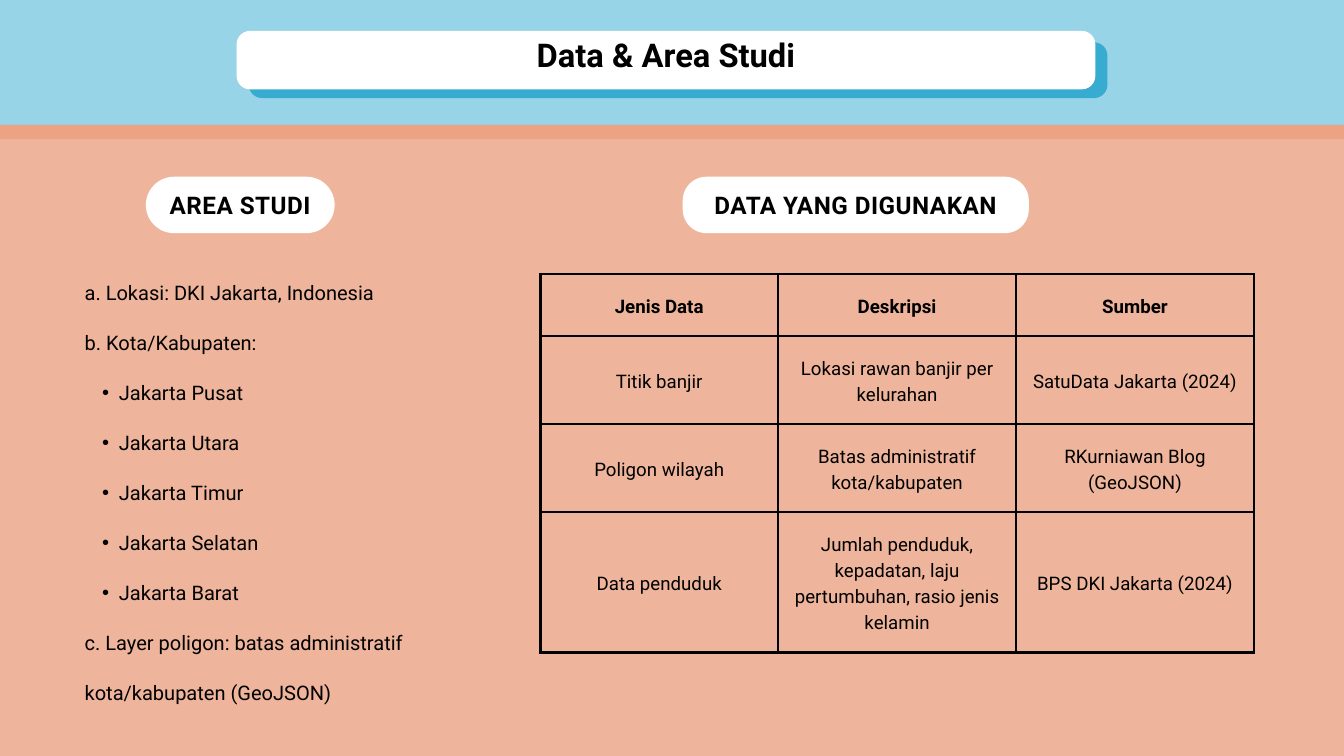
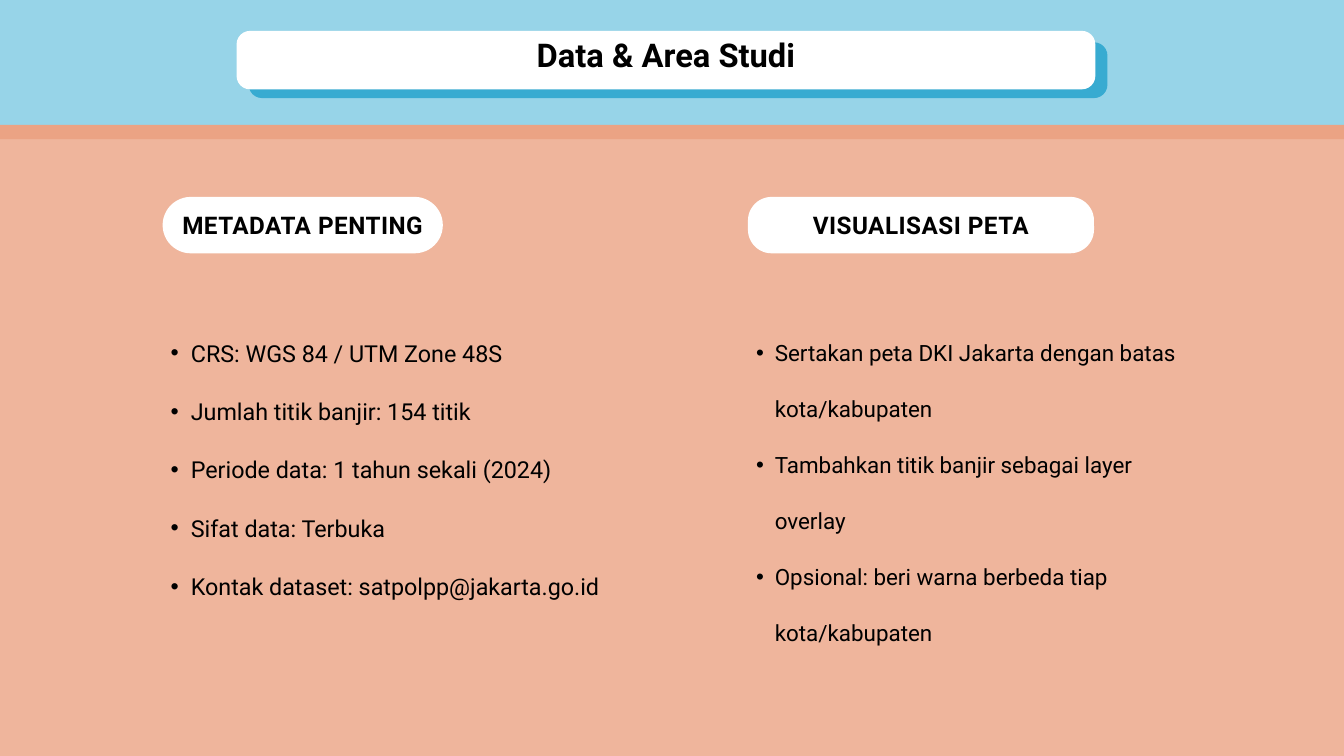
from lxml import etree
from pptx import Presentation
from pptx.dml.color import RGBColor
from pptx.enum.shapes import MSO_SHAPE
from pptx.enum.text import MSO_ANCHOR, PP_ALIGN
from pptx.oxml.ns import qn
from pptx.util import Emu, Pt

RECTANGLE = MSO_SHAPE.RECTANGLE
ROUNDED = MSO_SHAPE.ROUNDED_RECTANGLE
MIDDLE = MSO_ANCHOR.MIDDLE
CENTER = PP_ALIGN.CENTER
LEFT = PP_ALIGN.LEFT

FONT = "Roboto"
PEACH, ORANGE = "EFB59C", "EBA384"
SKY, BLUE = "97D4E8", "38ABD1"
WHITE, INK = "FFFFFF", "000000"
BULLET = "• "


def px(length):
    """100 px to the inch."""
    return Emu(length * 9144)


def color(hex_string):
    return RGBColor.from_string(hex_string)


def style_paragraph(paragraph, size, spacing, bold=False, align=LEFT, tracking=0):
    paragraph.alignment = align
    paragraph.line_spacing = Pt(spacing)
    font = paragraph.font
    font.name, font.size, font.bold = FONT, Pt(size), bold
    font.color.rgb = color(INK)
    if tracking:
        paragraph._p.get_or_add_pPr().get_or_add_defRPr().set("spc", str(tracking))


def add_bullet(paragraph, indent, hanging):
    paragraph.level = 1
    properties = paragraph._p.get_or_add_pPr()
    properties.set("marL", str(px(indent)))
    properties.set("indent", str(-px(hanging)))
    etree.SubElement(properties, qn("a:buFont")).set("typeface", "Arial")
    etree.SubElement(properties, qn("a:buChar")).set("char", BULLET.strip())


def set_margins(frame, left, top, right, bottom):
    frame.margin_left, frame.margin_top = px(left), px(top)
    frame.margin_right, frame.margin_bottom = px(right), px(bottom)


def add_panel(slide, left, top, width, height, fill, radius=0):
    panel = slide.shapes.add_shape(ROUNDED if radius else RECTANGLE,
                                   px(left), px(top), px(width), px(height))
    if radius:
        panel.adjustments[0] = round(radius / height, 2)
    panel.shadow.inherit = False
    panel.fill.solid()
    panel.fill.fore_color.rgb = color(fill)
    panel.line.fill.background()
    return panel


def label(panel, text, size, spacing, top, bottom, tracking=0):
    frame = panel.text_frame
    frame.word_wrap = True
    frame.vertical_anchor = MIDDLE
    set_margins(frame, 6, top, 6, bottom)
    frame.text = text
    style_paragraph(frame.paragraphs[0], size, spacing, True, CENTER, tracking)


def add_heading(slide, text, left, top, width, radius):
    pill = add_panel(slide, left, top, width, 84, WHITE, radius)
    label(pill, text, 26, 28.6, top=4, bottom=0, tracking=50)


def add_list(slide, left, top, width, height, lines, size, spacing, indent, hanging):
    """Lines that start with the bullet mark become bulleted paragraphs."""
    frame = slide.shapes.add_textbox(px(left), px(top), px(width), px(height)).text_frame
    frame.word_wrap = True
    set_margins(frame, 0, 0, 0, 0)
    for number, line in enumerate(lines):
        paragraph = frame.add_paragraph() if number else frame.paragraphs[0]
        paragraph.text = line.removeprefix(BULLET)
        if line.startswith(BULLET):
            add_bullet(paragraph, indent, hanging)
        style_paragraph(paragraph, size, spacing)


def add_borders(cell, points):
    properties = cell._tc.get_or_add_tcPr()
    for position, side in enumerate(("a:lnL", "a:lnR", "a:lnT", "a:lnB")):
        border = etree.Element(qn(side), w=str(Pt(points)))
        fill = etree.SubElement(border, qn("a:solidFill"))
        etree.SubElement(fill, qn("a:srgbClr")).set("val", INK)
        properties.insert(position, border)


def add_data_table(slide, left, top, column_width, row_heights, rows):
    columns = len(rows[0])
    table = slide.shapes.add_table(len(rows), columns, px(left), px(top),
                                   px(column_width * columns), px(sum(row_heights))).table
    table.first_row = table.horz_banding = False
    for column in table.columns:
        column.width = px(column_width)
    for r, (height, texts) in enumerate(zip(row_heights, rows)):
        table.rows[r].height = px(height)
        for c, text in enumerate(texts):
            cell = table.cell(r, c)
            cell.text = text
            cell.vertical_anchor = MIDDLE
            set_margins(cell, 21, 21, 21, 21)
            cell.fill.background()
            add_borders(cell, 3)
            style_paragraph(cell.text_frame.paragraphs[0], 20, 28, r == 0, CENTER)


def add_base_slide(deck, title):
    """Background, top bands and title plate shared by the slides."""
    slide = deck.slides.add_slide(deck.slide_layouts[6])
    slide.background.fill.solid()
    slide.background.fill.fore_color.rgb = color(PEACH)
    add_panel(slide, -52, -53, 2104, 245, SKY)
    add_panel(slide, -52, 186, 2104, 21, ORANGE)
    add_panel(slide, 370, 63, 1278, 83, BLUE, radius=20)
    plate = add_panel(slide, 352, 46, 1278, 87, WHITE, radius=20)
    label(plate, title, 35, 45.5, top=0, bottom=22)
    return slide


def add_study_area_slide(deck, title):
    slide = add_base_slide(deck, title)
    add_heading(slide, "AREA STUDI", 217, 263, 281, radius=42)
    add_heading(slide, "DATA YANG DIGUNAKAN", 1016, 263, 515, radius=35)
    add_data_table(slide, 804, 408, 354, (92, 131, 131, 209), (
        ("Jenis Data", "Deskripsi", "Sumber"),
        ("Titik banjir", "Lokasi rawan banjir per kelurahan", "SatuData Jakarta (2024)"),
        ("Poligon wilayah", "Batas administratif kota/kabupaten",
         "RKurniawan Blog (GeoJSON)"),
        ("Data penduduk",
         "Jumlah penduduk, kepadatan, laju pertumbuhan, rasio jenis kelamin",
         "BPS DKI Jakarta (2024)"),
    ))
    cities = [f"{BULLET}Jakarta {part}"
              for part in ("Pusat", "Utara", "Timur", "Selatan", "Barat")]
    add_list(slide, 126, 378, 678, 657, [
        "a. Lokasi: DKI Jakarta, Indonesia",
        "b. Kota/Kabupaten:",
        *cities,
        "c. Layer poligon: batas administratif kota/kabupaten (GeoJSON)",
    ], 21.5, 53.7, indent=51, hanging=25)


def add_metadata_slide(deck, title):
    slide = add_base_slide(deck, title)
    add_heading(slide, "METADATA PENTING", 242, 293, 417, radius=42)
    add_heading(slide, "VISUALISASI PETA", 1113, 293, 515, radius=35)
    add_list(slide, 225, 459, 678, 509, [
        "• CRS: WGS 84 / UTM Zone 48S",
        "• Jumlah titik banjir: 154 titik",
        "• Periode data: 1 tahun sekali (2024)",
        "• Sifat data: Terbuka",
        "• Kontak dataset: satpolpp@jakarta.go.id",
    ], 25, 62.5, indent=59, hanging=30)
    add_list(slide, 1096, 461, 678, 490, [
        "• Sertakan peta DKI Jakarta dengan batas kota/kabupaten",
        "• Tambahkan titik banjir sebagai layer overlay",
        "• Opsional: beri warna berbeda tiap kota/kabupaten",
    ], 24, 60, indent=57, hanging=28)


def main():
    deck = Presentation()
    deck.slide_width, deck.slide_height = px(2000), px(1125)
    title = "Data & Area Studi"
    add_study_area_slide(deck, title)
    add_metadata_slide(deck, title)
    deck.save("out.pptx")


if __name__ == "__main__":
    main()
